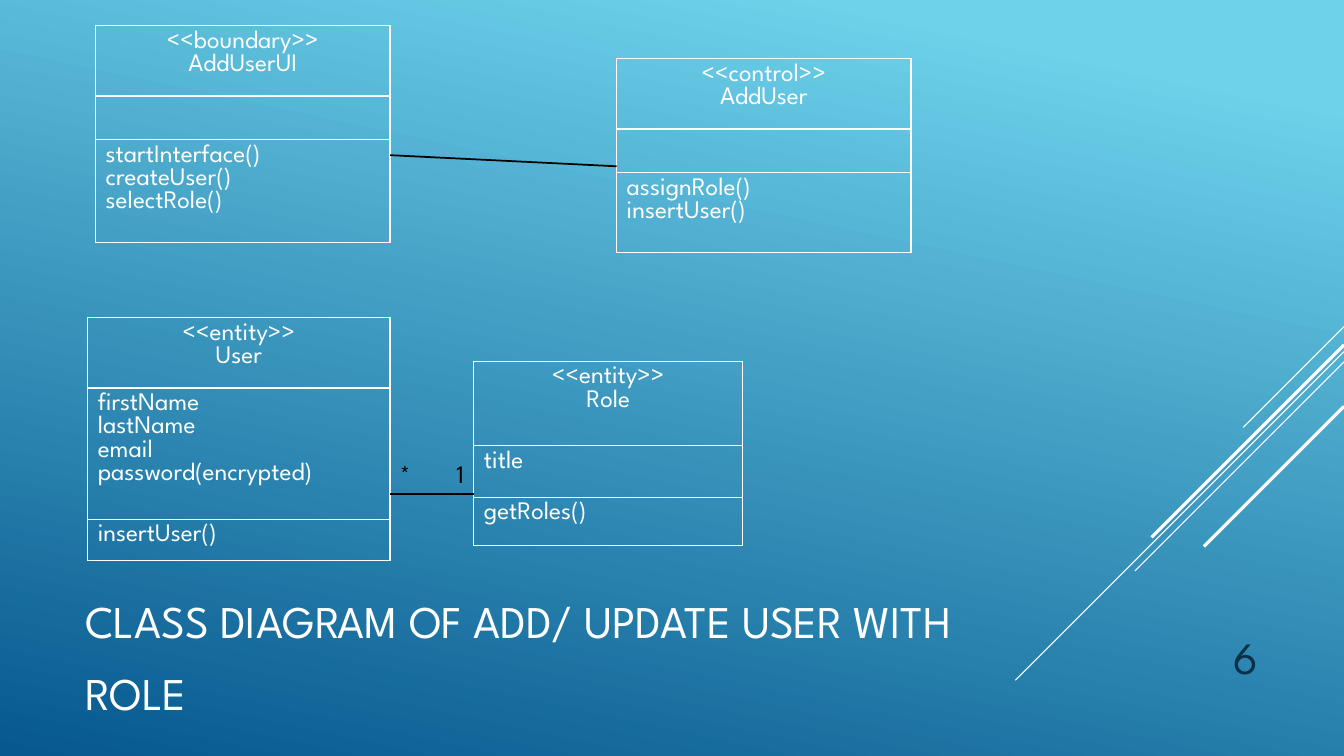
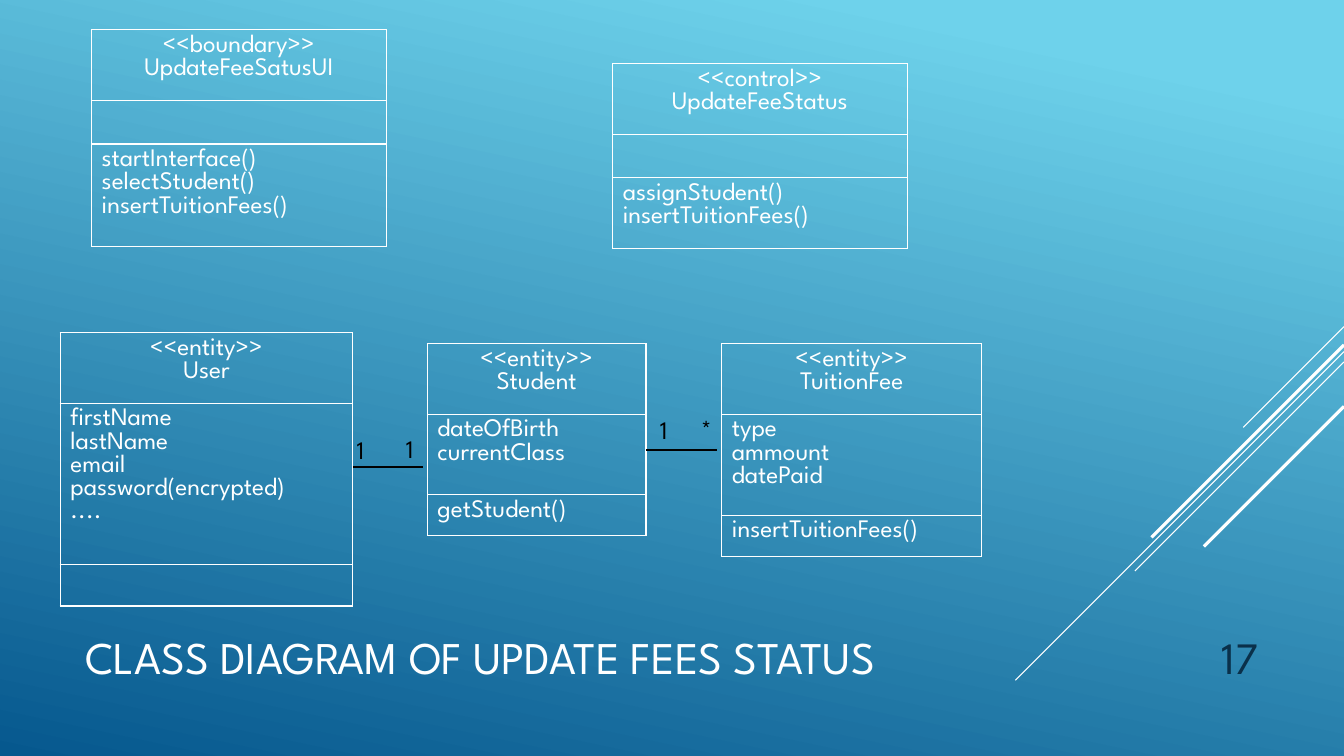
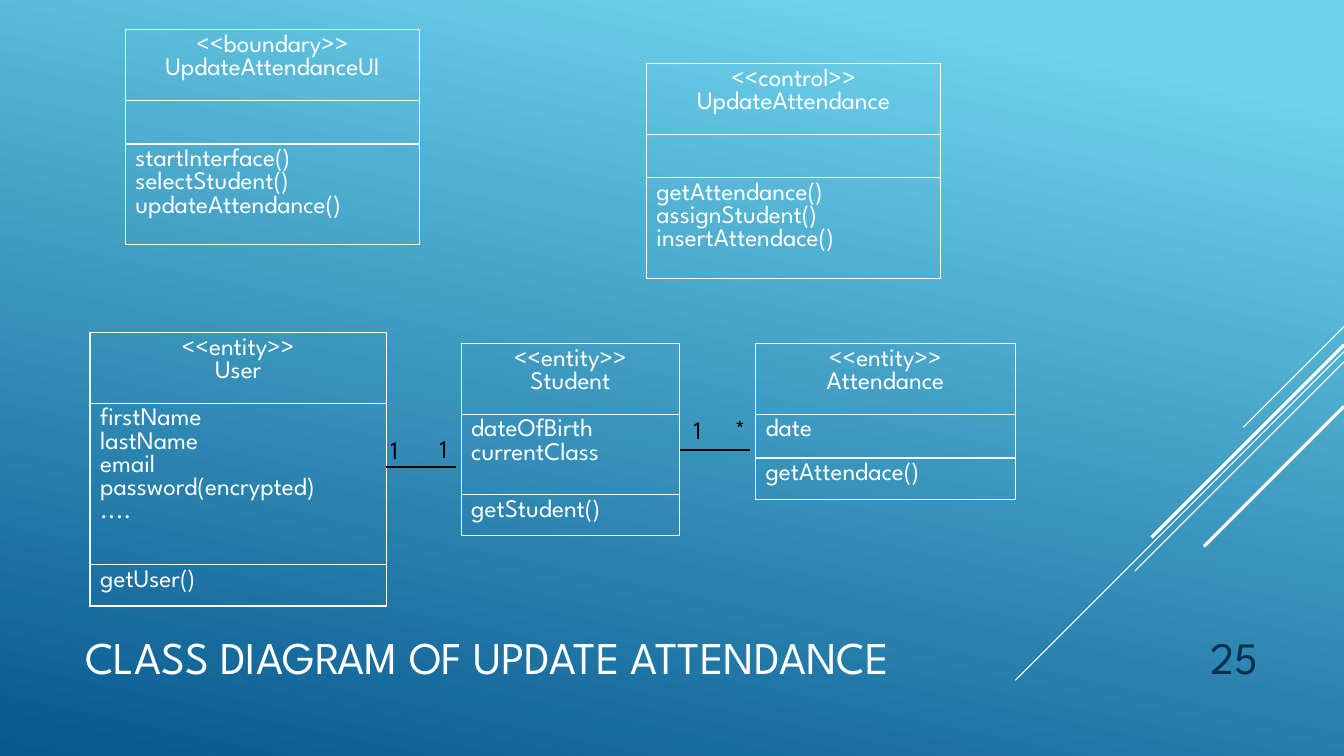
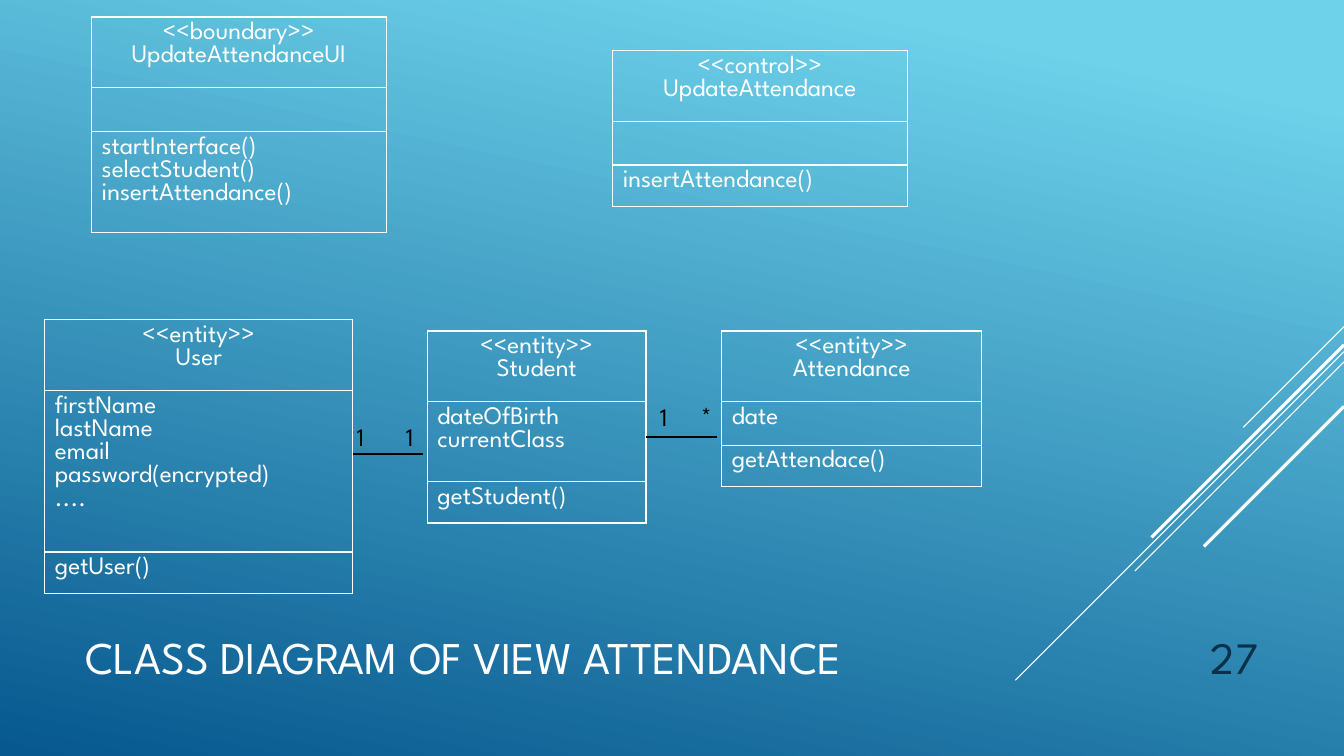
from dataclasses import dataclass
from typing import NamedTuple

from lxml import etree
from pptx import Presentation
from pptx import util as u
from pptx.dml import color
from pptx.enum import shapes, text
from pptx.oxml import ns


# Theme
@dataclass(frozen=True)
class Theme:
    font: str = "League Spartan"
    white: str = "FFFFFF"
    black: str = "000000"
    navy: str = "0A304A"
    sky: str = "6ED2EB"
    deep_blue: str = "06588E"
    title_size: float = 32.4
    number_size: float = 32
    body_size: float = 18
    title_spacing: float = 1.33
    border: float = 1
    link: float = 1.25
    thin: float = 0.75
    thick: float = 2.25


THEME = Theme()
SLIDE_WIDTH, SLIDE_HEIGHT = 33.87, 19.05

# Row heights in cm
HEADER, EMPTY, ONE_LINE, THREE_LINES = 1.42, 1.1, 1.04, 2.02


# Repeated elements, lengths in cm
class Stripe(NamedTuple):
    top: float
    run: float
    weight: float


class ClassBox(NamedTuple):
    left: float
    top: float
    width: float
    stereotype: str
    name: str
    attributes: list[str]
    methods: list[str]
    rows: tuple[float, float, float]


class Link(NamedTuple):
    start: tuple[float, float]
    end: tuple[float, float]


class Label(NamedTuple):
    left: float
    top: float
    text: str


class Diagram(NamedTuple):
    title: str
    number: int
    boxes: list[ClassBox]
    links: list[Link]
    labels: list[Label]


STRIPES = [
    Stripe(8.23, 2.54, THEME.thin),
    Stripe(8.86, 8.28, THEME.thin),
    Stripe(9.12, 5.27, THEME.thin),
    Stripe(8.69, 4.85, THEME.thick),
    Stripe(10.24, 3.53, THEME.thick),
]
USER_FIELDS = ["firstName", "lastName", "email", "password(encrypted)"]


# Drawing functions
def add_run(paragraph, content: str, size: float, colour: str) -> None:
    run = paragraph.add_run()
    run.text = content
    run.font.name = THEME.font
    run.font.size = u.Pt(size)
    run.font.color.rgb = color.RGBColor.from_string(colour)


def add_line(slide, start: tuple[float, float], end: tuple[float, float],
             colour: str, weight: float) -> None:
    line = slide.shapes.add_connector(
        shapes.MSO_CONNECTOR.STRAIGHT, *(u.Cm(value) for value in start + end))
    line.line.color.rgb = color.RGBColor.from_string(colour)
    line.line.width = u.Pt(weight)
    etree.SubElement(line._element.spPr, ns.qn("a:effectLst"))


def add_text(slide, box: tuple[float, float, float, float], content: str,
             size: float, colour: str, anchor=text.MSO_ANCHOR.TOP,
             align=text.PP_ALIGN.LEFT, wrap: bool = True):
    shape = slide.shapes.add_textbox(*(u.Cm(value) for value in box))
    frame = shape.text_frame
    frame.word_wrap = wrap
    frame.vertical_anchor = anchor
    paragraph = frame.paragraphs[0]
    paragraph.alignment = align
    add_run(paragraph, content, size, colour)
    return shape


def style_cell(cell) -> None:
    properties = cell._tc.get_or_add_tcPr()
    for side in ("lnL", "lnR", "lnT", "lnB"):
        border = etree.SubElement(properties, ns.qn(f"a:{side}"), w=str(u.Pt(THEME.border)))
        fill = etree.SubElement(border, ns.qn("a:solidFill"))
        etree.SubElement(fill, ns.qn("a:srgbClr"), val=THEME.white)
    cell.fill.background()


def add_class_box(slide, box: ClassBox) -> None:
    frame = slide.shapes.add_table(
        3, 1, u.Cm(box.left), u.Cm(box.top), u.Cm(box.width), u.Cm(sum(box.rows)))
    table = frame.table
    table.first_row = table.horz_banding = False
    contents = ([f"<<{box.stereotype}>>", box.name], box.attributes, box.methods)
    for index, (height, lines) in enumerate(zip(box.rows, contents)):
        table.rows[index].height = u.Cm(height)
        cell = table.cell(index, 0)
        style_cell(cell)
        for position, line in enumerate(lines):
            body = cell.text_frame
            paragraph = body.add_paragraph() if position else body.paragraphs[0]
            paragraph.alignment = text.PP_ALIGN.LEFT if index else text.PP_ALIGN.CENTER
            add_run(paragraph, line, THEME.body_size, THEME.white)


def add_label(slide, label: Label) -> None:
    width = 0.97 if label.text == "*" else 0.76
    shape = add_text(slide, (label.left, label.top, width, 1.02), label.text,
                     THEME.body_size, THEME.black, wrap=False)
    shape.text_frame.auto_size = text.MSO_AUTO_SIZE.SHAPE_TO_FIT_TEXT


def set_background(master) -> None:
    fill = master.background.fill
    fill.gradient()
    fill.gradient_angle = 360 - 102
    stops = ((0.1, THEME.sky), (1, THEME.deep_blue))
    for stop, (position, colour) in zip(fill.gradient_stops, stops):
        stop.position = position
        stop.color.rgb = color.RGBColor.from_string(colour)


def add_diagram(presentation, diagram: Diagram) -> None:
    slide = presentation.slides.add_slide(presentation.slide_layouts[6])
    # Diagonal stripes, title and number
    for stripe in STRIPES:
        add_line(slide, (SLIDE_WIDTH, stripe.top),
                 (SLIDE_WIDTH - stripe.run, stripe.top + stripe.run),
                 THEME.white, stripe.weight)
    title = add_text(slide, (1.9, 16, 23.7, 0.64), diagram.title,
                     THEME.title_size, THEME.white, text.MSO_ANCHOR.MIDDLE)
    title.text_frame.paragraphs[0].line_spacing = THEME.title_spacing
    add_text(slide, (28.78, 15.5, 3.18, 1.85), str(diagram.number), THEME.number_size,
             THEME.navy, text.MSO_ANCHOR.BOTTOM, text.PP_ALIGN.RIGHT)
    # Classes and their associations
    for box in diagram.boxes:
        add_class_box(slide, box)
    for link in diagram.links:
        add_line(slide, link.start, link.end, THEME.black, THEME.link)
    for label in diagram.labels:
        add_label(slide, label)


# Diagram contents
def boundary(left: float, top: float, name: str, methods: list[str],
             height: float = THREE_LINES) -> ClassBox:
    return ClassBox(left, top, 7.42, "boundary", name, [], methods, (HEADER, EMPTY, height))


def control(left: float, top: float, name: str, methods: list[str],
            height: float) -> ClassBox:
    return ClassBox(left, top, 7.42, "control", name, [], methods, (HEADER, EMPTY, height))


def student_diagram(title: str, number: int, x: float, y: float, user_width: float,
                    user_methods: list[str], ui: tuple[str, list[str], float],
                    controller: tuple[str, list[str], float],
                    record: tuple[str, list[str], list[str], float]) -> Diagram:
    """Lay out user, student and record classes, shifted by x and y."""
    user_right = 8.89 + x
    name, fields, methods, fields_height = record
    return Diagram(
        title, number,
        [
            boundary(2.31 + x, 0.75 + y, *ui),
            control(15.44 + x, 1.6 + y, *controller),
            ClassBox(10.77 + x, 8.66 + y, 5.51, "entity", "Student",
                     ["dateOfBirth", "currentClass"], ["getStudent()"],
                     (HEADER, THREE_LINES, ONE_LINE)),
            ClassBox(18.19 + x, 8.66 + y, 6.55, "entity", name, fields, methods,
                     (HEADER, fields_height, ONE_LINE)),
            ClassBox(user_right - user_width, 8.38 + y, user_width, "entity", "User",
                     USER_FIELDS + ["...."], user_methods, (1.78, 4.07, ONE_LINE)),
        ],
        [
            Link((16.28 + x, 11.33 + y), (18.06 + x, 11.33 + y)),
            Link((user_right, 11.76 + y), (10.65 + x, 11.76 + y)),
        ],
        [
            Label(16.38 + x, 10.31 + y, "1"),
            Label(17.42 + x, 10.29 + y, "*"),
            Label(8.74 + x, 10.82 + y, "1"),
            Label(9.98 + x, 10.8 + y, "1"),
        ])


ATTENDANCE = ("Attendance", ["date"], ["getAttendace()"], EMPTY)

DIAGRAMS = [
    Diagram(
        "CLASS DIAGRAM OF ADD/ UPDATE USER WITH ROLE", 6,
        [
            boundary(2.41, 0.64, "AddUserUI",
                     ["startInterface()", "createUser()", "selectRole()"], 2.59),
            control(15.54, 1.47, "AddUser", ["assignRole()", "insertUser()"], THREE_LINES),
            ClassBox(2.21, 8, 7.62, "entity", "User", USER_FIELDS, ["insertUser()"],
                     (HEADER, 3.2, ONE_LINE)),
            ClassBox(11.94, 9.1, 6.78, "entity", "Role", ["title"], ["getRoles()"],
                     (2.13, 1.3, 1.22)),
        ],
        [Link((9.83, 12.45), (11.94, 12.45)), Link((9.83, 3.91), (15.54, 4.19))],
        [Label(11.25, 11.43, "1"), Label(9.83, 11.43, "*")]),
    student_diagram(
        "CLASS DIAGRAM OF UPDATE FEES STATUS", 17, 0, 0, 7.37, [],
        ("UpdateFeeSatusUI",
         ["startInterface()", "selectStudent()", "insertTuitionFees()"], 2.59),
        ("UpdateFeeStatus", ["assignStudent()", "insertTuitionFees()"], HEADER),
        ("TuitionFee", ["type", "ammount", "datePaid"], ["insertTuitionFees()"],
         THREE_LINES)),
    student_diagram(
        "CLASS DIAGRAM OF UPDATE ATTENDANCE", 25, 0.85, 0, 7.47, ["getUser()"],
        ("UpdateAttendanceUI",
         ["startInterface()", "selectStudent()", "updateAttendance()"], THREE_LINES),
        ("UpdateAttendance",
         ["getAttendance()", "assignStudent()", "insertAttendace()"], THREE_LINES),
        ATTENDANCE),
    student_diagram(
        "CLASS DIAGRAM OF VIEW ATTENDANCE", 27, 0, -0.32, 7.76, ["getUser()"],
        ("UpdateAttendanceUI",
         ["startInterface()", "selectStudent()", "insertAttendance()"], THREE_LINES),
        ("UpdateAttendance", ["insertAttendance()"], ONE_LINE),
        ATTENDANCE),
]


def main() -> None:
    presentation = Presentation()
    presentation.slide_width = u.Cm(SLIDE_WIDTH)
    presentation.slide_height = u.Cm(SLIDE_HEIGHT)
    set_background(presentation.slide_master)
    for diagram in DIAGRAMS:
        add_diagram(presentation, diagram)
    presentation.save("out.pptx")


if __name__ == "__main__":
    main()
